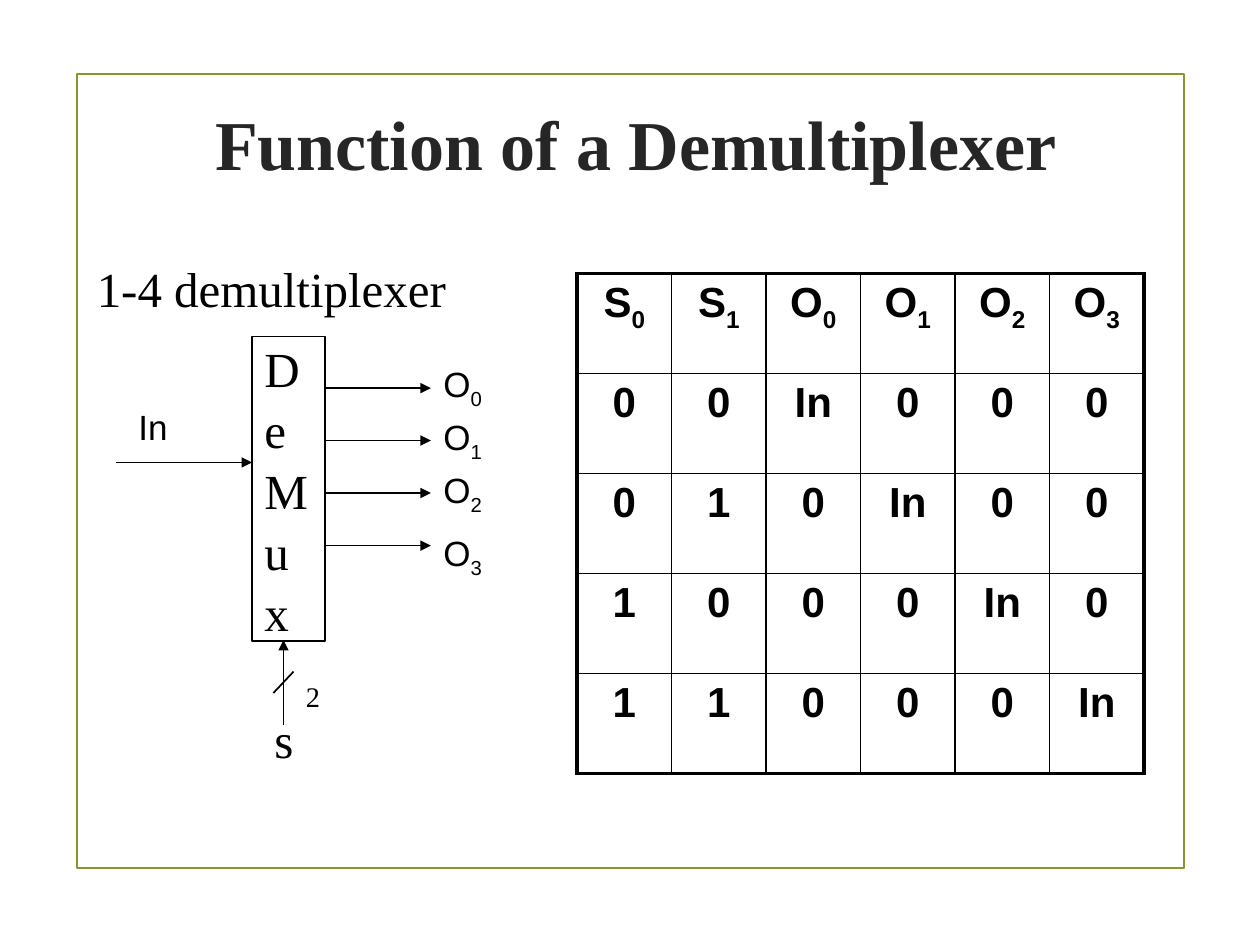
import pptx
import pptx.util
import pptx.dml.color
import pptx.enum.shapes
import pptx.enum.text
import pptx.oxml
import pptx.oxml.ns

Inches, Pt = pptx.util.Inches, pptx.util.Pt
RGBColor = pptx.dml.color.RGBColor
MSO_SHAPE = pptx.enum.shapes.MSO_SHAPE
MSO_ANCHOR = pptx.enum.text.MSO_ANCHOR
PP_ALIGN = pptx.enum.text.PP_ALIGN

BLACK = RGBColor(0x00, 0x00, 0x00)
TITLE_GREY = RGBColor(0x26, 0x26, 0x26)
FRAME_GREEN = RGBColor(0x83, 0x99, 0x2A)
SERIF, SANS = "Times New Roman", "Arial"


def write(frame, text, subscript="", font=SANS, size=20, bold=False,
          color=BLACK, align=PP_ALIGN.LEFT):
    paragraph = frame.paragraphs[0]
    paragraph.alignment = align
    for part, baseline in ((text, 0), (subscript, -25000)):
        if not part:
            continue
        run = paragraph.add_run()
        run.text = part
        run.font.name = font
        run.font.size = Pt(size)
        run.font.bold = bold
        run.font.color.rgb = color
        if baseline:
            run.font._element.set("baseline", str(baseline))


def add_wire(x1, y1, x2, y2, arrow=True):
    wire = slide.shapes.add_connector(
        pptx.enum.shapes.MSO_CONNECTOR.STRAIGHT,
        Inches(x1), Inches(y1), Inches(x2), Inches(y2))
    wire.line.color.rgb = BLACK
    wire.line.width = Pt(1)
    if arrow:
        line = wire.line._get_or_add_ln()
        pptx.oxml.ns.qn("a:tailEnd")
        line.append(pptx.oxml.parse_xml(
            f'<a:tailEnd {pptx.oxml.ns.nsdecls("a")} type="triangle"/>'))
    wire._element.spPr.append(pptx.oxml.parse_xml(
        f'<a:effectLst {pptx.oxml.ns.nsdecls("a")}/>'))


presentation = pptx.Presentation()
presentation.slide_width = Inches(10)
presentation.slide_height = Inches(7.5)
slide = presentation.slides.add_slide(presentation.slide_layouts[5])

# Title
title = slide.shapes.title
title.left, title.top = Inches(0.67), Inches(0.42)
title.width, title.height = Inches(8.75), Inches(1.43)
title.text_frame.vertical_anchor = MSO_ANCHOR.MIDDLE
write(title.text_frame, "Function of a Demultiplexer", font=SERIF, size=40,
      bold=True, color=TITLE_GREY, align=PP_ALIGN.CENTER)

# Slide frame and demultiplexer block
boxes = []
for left, top, width, height, color, weight in (
        (0.61, 0.59, 8.79, 6.3, FRAME_GREEN, 1.25),
        (2, 2.67, 0.58, 2.42, BLACK, 1)):
    box = slide.shapes.add_shape(MSO_SHAPE.RECTANGLE, Inches(left),
                                 Inches(top), Inches(width), Inches(height))
    box.shadow.inherit = False
    box.fill.background()
    box.line.color.rgb = color
    box.line.width = Pt(weight)
    boxes.append(box)
frame, demux = boxes
demux.text_frame.word_wrap = True
demux.text_frame.vertical_anchor = MSO_ANCHOR.MIDDLE
write(demux.text_frame, "DeMux", font=SERIF, size=28)
demux.text_frame.paragraphs[0].line_spacing = 1.04

# Output, input and select wires
for output in range(4):
    y = 3.08 + output * 1.25 / 3
    add_wire(2.58, y, 3.42, y)
add_wire(0.92, 3.67, 2, 3.67)
add_wire(2.25, 5.75, 2.25, 5.08)
add_wire(2.17, 5.5, 2.33, 5.33, arrow=False)

# Labels: left, top, width, height, text, subscript, font, size
labels = [
    (0.67, 2, 2.97, 0.57, "1-4 demultiplexer", "", SERIF, 28),
    (1, 3.17, 0.43, 0.43, "In", "", SANS, 20),
    (2.08, 5.58, 0.35, 0.57, "s", "", SERIF, 28),
    (2.33, 5.08, 0.33, 0.42, "", "2", SERIF, 28),
]
for output, top in enumerate((2.83, 3.25, 3.67, 4.17)):
    labels.append((3.42, top, 0.52, 0.43, "O", str(output), SANS, 20))
for left, top, width, height, text, subscript, font, size in labels:
    label = slide.shapes.add_textbox(Inches(left), Inches(top),
                                     Inches(width), Inches(height))
    label.text_frame.word_wrap = False
    write(label.text_frame, text, subscript, font=font, size=size)

# Truth table: the selected output carries the input
rows = [[("S", "0"), ("S", "1")] + [("O", str(i)) for i in range(4)]]
for selected in range(4):
    select_bits = [(bit, "") for bit in f"{selected:02b}"]
    outputs = [("In" if i == selected else "0", "") for i in range(4)]
    rows.append(select_bits + outputs)

truth_table = slide.shapes.add_table(5, 6, Inches(4.58), Inches(2.17),
                                     Inches(4.5), Inches(3.97)).table
for column in truth_table.columns:
    column.width = Inches(0.75)
for r, row in enumerate(rows):
    for c, (text, subscript) in enumerate(row):
        cell = truth_table.cell(r, c)
        write(cell.text_frame, text, subscript, size=24, bold=True,
              align=PP_ALIGN.CENTER)
        properties = cell._tc.get_or_add_tcPr()
        for side, outer in (("L", c == 0), ("R", c == 5),
                            ("T", r == 0), ("B", r == 4)):
            weight = Pt(2.25 if outer else 1)
            properties.append(pptx.oxml.parse_xml(
                f'<a:ln{side} {pptx.oxml.ns.nsdecls("a")} w="{weight}">'
                f'<a:solidFill><a:srgbClr val="{BLACK}"/></a:solidFill>'
                f'</a:ln{side}>'))
        cell.fill.background()

presentation.save("out.pptx")
